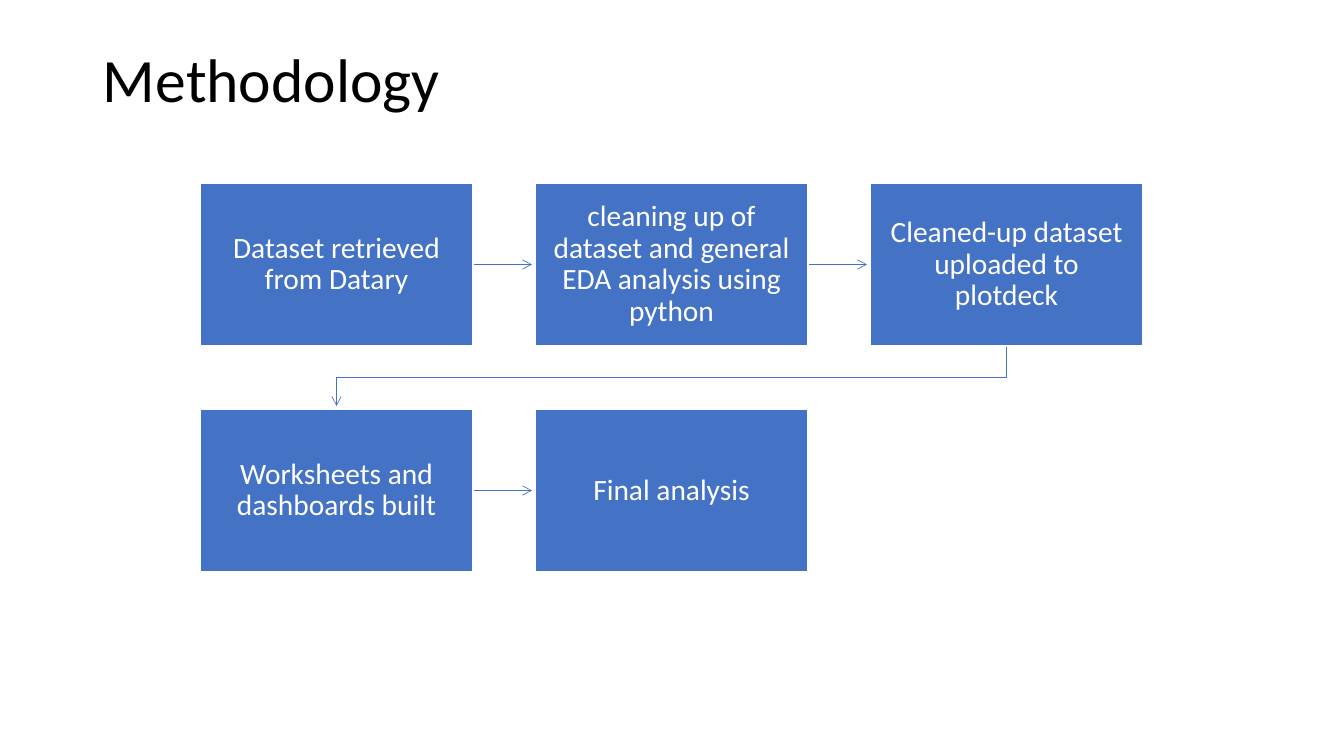
from dataclasses import dataclass

from lxml.etree import SubElement
from pptx import Presentation
from pptx.dml.color import RGBColor
from pptx.enum.shapes import MSO_CONNECTOR, MSO_SHAPE
from pptx.enum.text import MSO_ANCHOR, MSO_AUTO_SIZE, PP_ALIGN
from pptx.oxml.ns import qn
from pptx.util import Pt

TITLE = "Methodology"
STEPS = [
    "Dataset retrieved from Datary",
    "cleaning up of dataset and general EDA analysis using python",
    "Cleaned-up dataset uploaded to plotdeck",
    "Worksheets and dashboards built",
    "Final analysis",
]


@dataclass(frozen=True)
class Theme:
    font: str = "Calibri"
    title_size: int = 44
    step_size: int = 21
    ink: RGBColor = RGBColor(0, 0, 0)
    blue: RGBColor = RGBColor(0x44, 0x72, 0xC4)
    white: RGBColor = RGBColor(0xFF, 0xFF, 0xFF)


THEME = Theme()
SLIDE_W, SLIDE_H = 1344, 756
COLUMNS = 3
LEFT, TOP = 200, 183
BOX_W, BOX_H = 273, 163
PITCH_X, PITCH_Y = 335, 226
PADDING = 16
TIP_GAP = 3


def px(n):
    return round(n * 914400 / 100.8)


def write(tf, text, size, color, align, inset):
    tf.word_wrap = True
    tf.auto_size = MSO_AUTO_SIZE.NONE
    tf.vertical_anchor = MSO_ANCHOR.MIDDLE
    tf.margin_left = tf.margin_right = px(inset)
    tf.margin_top = tf.margin_bottom = px(inset)
    p = tf.paragraphs[0]
    p.text = text
    p.alignment = align
    p.line_spacing = 0.9
    p.font.name = THEME.font
    p.font.size = Pt(size)
    p.font.color.rgb = color


def box_origin(i):
    row, column = divmod(i, COLUMNS)
    return LEFT + column * PITCH_X, TOP + row * PITCH_Y


def add_step(s, i, text):
    x, y = box_origin(i)
    sp = s.shapes.add_shape(MSO_SHAPE.RECTANGLE, px(x), px(y), px(BOX_W), px(BOX_H))
    sp.shadow.inherit = False
    sp.fill.solid()
    sp.fill.fore_color.rgb = THEME.blue
    sp.line.color.rgb = THEME.white
    sp.line.width = Pt(1)
    write(sp.text_frame, text, THEME.step_size, THEME.white, PP_ALIGN.CENTER, PADDING)


def add_arrow(s, i):
    """Lead from step i to the next: straight in a row, bent between rows."""
    x, y = box_origin(i)
    next_x, next_y = box_origin(i + 1)
    if y == next_y:
        middle = px(y + BOX_H / 2)
        arrow = s.shapes.add_connector(
            MSO_CONNECTOR.STRAIGHT, px(x + BOX_W), middle, px(next_x - TIP_GAP), middle)
    else:
        start_x, end_x = px(x + BOX_W / 2), px(next_x + BOX_W / 2)
        bend_y = px((y + BOX_H + next_y) / 2)
        builder = s.shapes.build_freeform(start_x, px(y + BOX_H))
        builder.add_line_segments(
            [(start_x, bend_y), (end_x, bend_y), (end_x, px(next_y - TIP_GAP))], close=False)
        arrow = builder.convert_to_shape()
        arrow.fill.background()
    arrow.line.color.rgb = THEME.blue
    arrow.line.width = Pt(0.5)
    sp_pr = arrow._element.spPr
    SubElement(sp_pr.find(qn("a:ln")), qn("a:tailEnd"), type="arrow")
    SubElement(sp_pr, qn("a:effectLst"))


def main():
    prs = Presentation()
    prs.slide_width, prs.slide_height = px(SLIDE_W), px(SLIDE_H)
    s = prs.slides.add_slide(prs.slide_layouts[5])

    title = s.shapes.title
    title.left, title.top, title.width, title.height = map(px, (93, 10, 1159, 146))
    write(title.text_frame, TITLE, THEME.title_size, THEME.ink, PP_ALIGN.LEFT, 10)

    for i in range(len(STEPS) - 1):
        add_arrow(s, i)
    for i, text in enumerate(STEPS):
        add_step(s, i, text)

    prs.save("out.pptx")


if __name__ == "__main__":
    main()
